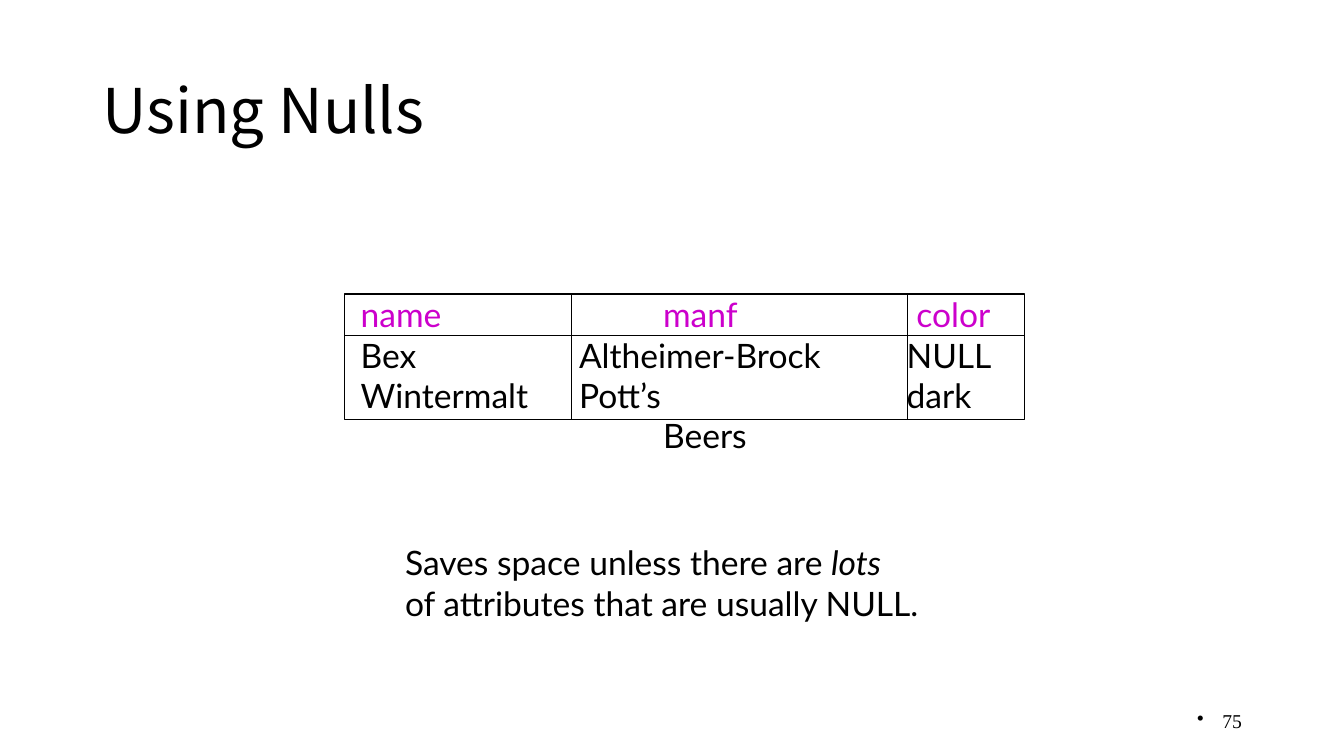
from dataclasses import dataclass

from lxml import etree
from pptx import Presentation
from pptx.dml.color import RGBColor
from pptx.enum import shapes, text
from pptx.oxml import ns
from pptx.util import Pt

BLACK = "000000"
MAGENTA = "CC00CC"
BODY_FONT = "Lato"


@dataclass(frozen=True)
class Row:
    cells: str
    stops: tuple[float, ...]
    color: str = BLACK


@dataclass(frozen=True)
class Rule:
    x1: float
    y1: float
    x2: float
    y2: float


LEFT, TOP, RIGHT, BOTTOM = 246, 210, 732, 300
HEADER_BOTTOM = 240
COLUMN_EDGES = (408, 648)

ROWS = (
    Row("name\tmanf\tcolor", (216, 397), MAGENTA),
    Row("Bex\tAltheimer-Brock", (156, 390)),
    Row("Wintermalt\tPott’s", (156, 390)),
    Row("\tBeers", (216,)),
)
COLORS = {1: "NULL", 2: "dark"}

RULES = (
    Rule(LEFT, HEADER_BOTTOM, RIGHT, HEADER_BOTTOM),
    *(Rule(x, TOP, x, BOTTOM) for x in COLUMN_EDGES),
)


def rgb(value: str) -> RGBColor:
    return RGBColor.from_string(value)


def style(paragraph, font: str, size: float, color: str = BLACK) -> None:
    paragraph.font.name = font
    paragraph.font.size = Pt(size)
    paragraph.font.color.rgb = rgb(color)


def add_text_box(slide, left: float, top: float, width: float, height: float, wrap: bool):
    frame = slide.shapes.add_textbox(Pt(left), Pt(top), Pt(width), Pt(height)).text_frame
    frame.word_wrap = wrap
    return frame


def add_tab_stops(paragraph, stops: tuple[float, ...]) -> None:
    properties = paragraph._p.get_or_add_pPr()
    tab_list = etree.SubElement(properties, ns.qn("a:tabLst"))
    for stop in stops:
        etree.SubElement(tab_list, ns.qn("a:tab"), pos=str(Pt(stop)), algn="l")


def add_title(slide) -> None:
    title = slide.shapes.title
    title.left, title.top, title.width, title.height = Pt(66), Pt(28.8), Pt(828), Pt(104.4)
    frame = title.text_frame
    frame.text = "Using Nulls"
    frame.auto_size = text.MSO_AUTO_SIZE.NONE
    frame.vertical_anchor = text.MSO_ANCHOR.MIDDLE
    heading = frame.paragraphs[0]
    heading.alignment = text.PP_ALIGN.LEFT
    heading.line_spacing = 0.9
    style(heading, "Noto Sans CJK SC", 44)


def add_slide_number(slide) -> None:
    frame = add_text_box(slide, 678.24, 500.4, 216, 28.8, True)
    frame.vertical_anchor = text.MSO_ANCHOR.MIDDLE
    number = frame.paragraphs[0]
    number.text = "75"
    number.alignment = text.PP_ALIGN.RIGHT
    properties = number._p.get_or_add_pPr()
    properties.set("marL", str(Pt(18)))
    properties.set("indent", str(-Pt(18)))
    etree.SubElement(properties, ns.qn("a:buChar"), char="•")
    style(number, "Times New Roman", 14)


def add_beer_rows(slide) -> None:
    frame = add_text_box(slide, 250.56, 206.64, 475.2, 123.84, True)
    for index, row in enumerate(ROWS):
        line = frame.paragraphs[0] if index == 0 else frame.add_paragraph()
        beer_color = COLORS.get(index)
        line.add_run().text = f"{row.cells}\t{beer_color}" if beer_color else row.cells
        add_tab_stops(line, row.stops)
        style(line, BODY_FONT, 24, row.color)


def add_border(slide) -> None:
    border = slide.shapes.add_shape(
        shapes.MSO_SHAPE.RECTANGLE, Pt(LEFT), Pt(TOP), Pt(RIGHT - LEFT), Pt(BOTTOM - TOP)
    )
    border.shadow.inherit = False
    border.fill.background()
    border.line.color.rgb = rgb(BLACK)
    border.line.width = Pt(0.75)


def add_rule(slide, rule: Rule) -> None:
    divider = slide.shapes.add_connector(
        shapes.MSO_CONNECTOR.STRAIGHT, Pt(rule.x1), Pt(rule.y1), Pt(rule.x2), Pt(rule.y2)
    )
    divider.line.color.rgb = rgb(BLACK)
    divider.line.width = Pt(0.75)
    etree.SubElement(divider._element.spPr, ns.qn("a:effectLst"))


def add_remark(slide) -> None:
    frame = add_text_box(slide, 282.24, 383.76, 388.8, 65.52, False)
    first = frame.paragraphs[0]
    first.add_run().text = "Saves space unless there are "
    emphasis = first.add_run()
    emphasis.text = "lots"
    emphasis.font.italic = True
    second = frame.add_paragraph()
    second.text = "of attributes that are usually NULL."
    for paragraph in frame.paragraphs:
        style(paragraph, BODY_FONT, 24)


def main() -> None:
    deck = Presentation()
    deck.slide_width, deck.slide_height = Pt(960), Pt(540)
    slide = deck.slides.add_slide(deck.slide_layouts.get_by_name("Title Only"))
    add_slide_number(slide)
    add_title(slide)
    add_beer_rows(slide)
    add_border(slide)
    for rule in RULES:
        add_rule(slide, rule)
    add_remark(slide)
    deck.save("out.pptx")


if __name__ == "__main__":
    main()
